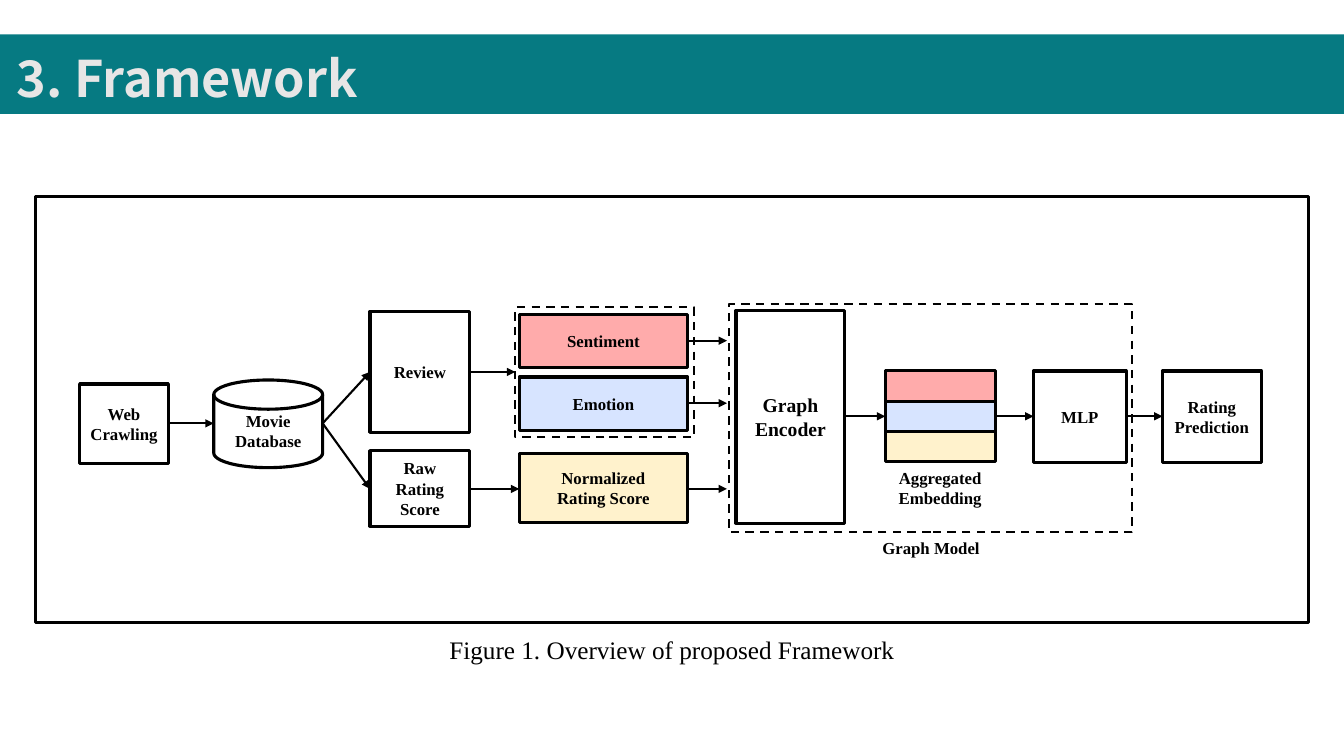
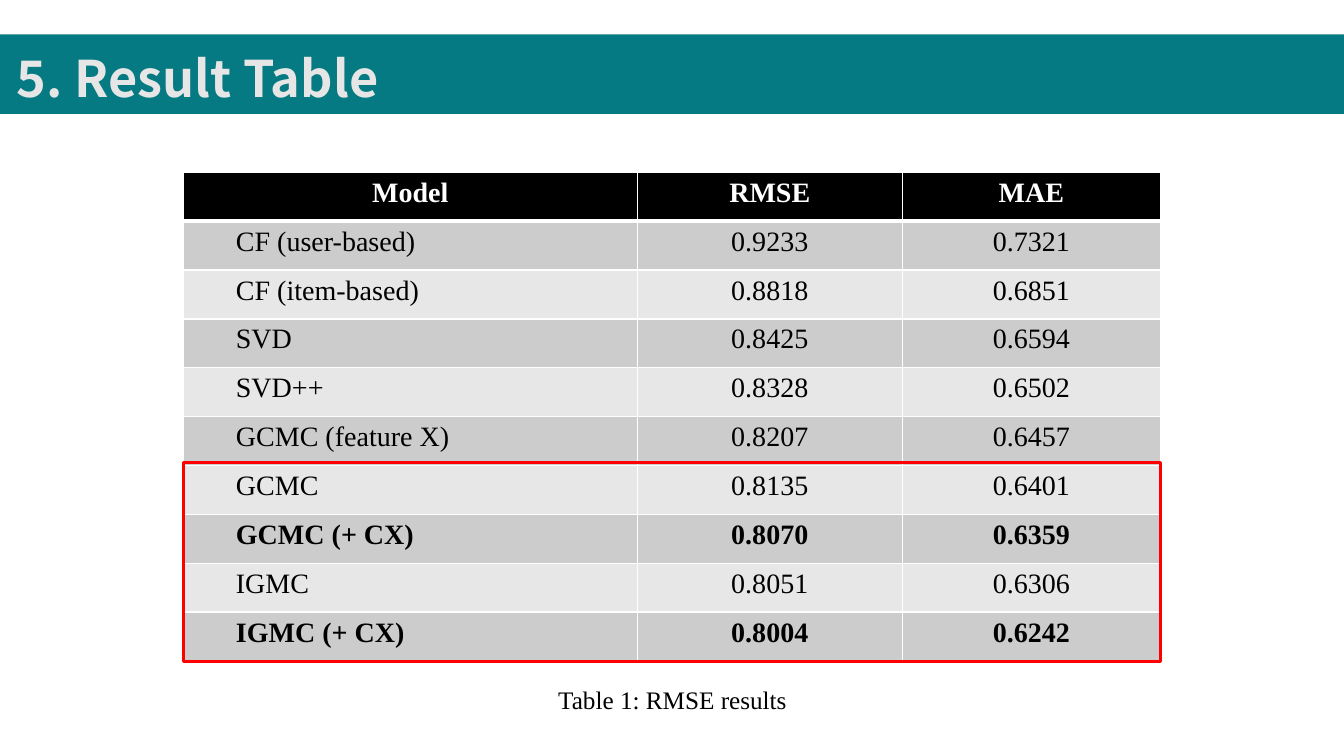
import dataclasses
import lxml.etree
import pptx
import pptx.dml.color
import pptx.enum.dml
import pptx.enum.shapes
import pptx.enum.text
import pptx.oxml.ns
import pptx.util

SHAPE = pptx.enum.shapes.MSO_SHAPE
ALIGN = pptx.enum.text.PP_ALIGN
ANCHOR = pptx.enum.text.MSO_ANCHOR
DASH = pptx.enum.dml.MSO_LINE.DASH
qn = pptx.oxml.ns.qn


@dataclasses.dataclass(frozen=True)
class Theme:
    teal: str = "067A82"
    light: str = "E7E6E6"
    black: str = "000000"
    white: str = "FFFFFF"
    red: str = "FF0000"
    sentiment: str = "FFABAB"
    emotion: str = "D7E4FF"
    rating: str = "FFF2CC"
    bands: tuple = ("E7E7E7", "CCCCCC")
    title_font: str = "Noto Sans CJK KR"
    body_font: str = "Times New Roman"
    title_size: int = 36
    table_size: int = 20
    caption_size: int = 18
    encoder_size: int = 14
    label_size: int = 12
    thick: float = 2.25
    thin: float = 1.5


def px(n):
    return pptx.util.Emu(n * 9144)


def rgb(value):
    return pptx.dml.color.RGBColor.from_string(value)


class Deck:
    def __init__(self, theme):
        self.theme = theme
        self.prs = pptx.Presentation()
        self.prs.slide_width, self.prs.slide_height = px(1333), px(750)

    def slide(self, title):
        t = self.theme
        self.s = self.prs.slides.add_slide(self.prs.slide_layouts[6])
        self.box((0, 34, 1333, 79), fill=t.teal, line=None)
        tf = self.text((7, 16, 1326, 92), title, t.title_size, True,
                       t.light, t.title_font, ALIGN.LEFT)
        tf.vertical_anchor = ANCHOR.MIDDLE
        tf.paragraphs[0].line_spacing = 1.5

    def set_text(self, tf, text, size, bold=False, color=None, font=None, align=ALIGN.CENTER):
        tf.text = text
        for p in tf.paragraphs:
            p.alignment = align
            for r in p.runs:
                r.font.size = pptx.util.Pt(size)
                r.font.bold = bold
                r.font.name = font or self.theme.body_font
                r.font.color.rgb = rgb(color or self.theme.black)

    def text(self, at, text, size, *style):
        tf = self.s.shapes.add_textbox(*map(px, at)).text_frame
        tf.word_wrap = True
        tf.auto_size = pptx.enum.text.MSO_AUTO_SIZE.SHAPE_TO_FIT_TEXT
        self.set_text(tf, text, size, *style)
        return tf

    def caption(self, at, text):
        self.text(at, text, self.theme.caption_size)

    def label(self, at, text):
        self.text(at, text, self.theme.label_size, True)

    def box(self, at, text="", fill=None, line=Theme.black, kind=SHAPE.RECTANGLE,
            size=Theme.label_size, dashed=False):
        sp = self.s.shapes.add_shape(kind, *map(px, at))
        sp.shadow.inherit = False
        if fill:
            sp.fill.solid()
            sp.fill.fore_color.rgb = rgb(fill)
        else:
            sp.fill.background()
        if line:
            sp.line.color.rgb = rgb(line)
            sp.line.width = pptx.util.Pt(self.theme.thin if dashed else self.theme.thick)
            if dashed:
                sp.line.dash_style = DASH
        else:
            sp.line.fill.background()
        if text:
            sp.text_frame.vertical_anchor = ANCHOR.MIDDLE
            self.set_text(sp.text_frame, text, size, True)

    def arrow(self, x1, y1, x2, y2):
        kind = pptx.enum.shapes.MSO_CONNECTOR.STRAIGHT
        c = self.s.shapes.add_connector(kind, px(x1), px(y1), px(x2), px(y2))
        c.line.color.rgb = rgb(self.theme.black)
        c.line.width = pptx.util.Pt(self.theme.thin)
        sp_pr = c._element.spPr
        lxml.etree.SubElement(sp_pr.find(qn("a:ln")), qn("a:tailEnd"), type="triangle")
        lxml.etree.SubElement(sp_pr, qn("a:effectLst"))

    def border(self, cell, side, points):
        ln = lxml.etree.SubElement(cell._tc.get_or_add_tcPr(), qn("a:ln" + side),
                                   w=str(int(pptx.util.Pt(points))))
        fill = lxml.etree.SubElement(ln, qn("a:solidFill"))
        lxml.etree.SubElement(fill, qn("a:srgbClr"), val=self.theme.white)

    def table(self, at, widths, rows, bold_rows, indent):
        t = self.theme
        table = self.s.shapes.add_table(len(rows), len(widths), *map(px, at)).table
        for column, width in zip(table.columns, widths):
            column.width = px(width)
        for i, row in enumerate(rows):
            table.rows[i].height = px(at[3]) // len(rows)
            for j, value in enumerate(row):
                cell = table.cell(i, j)
                for side in "LRTB":
                    heavy = (i, side) in ((0, "B"), (1, "T"))
                    self.border(cell, side, 3 if heavy else 1)
                cell.fill.solid()
                cell.fill.fore_color.rgb = rgb(t.bands[i % 2] if i else t.black)
                name = i > 0 and j == 0
                if name:
                    cell.margin_left = px(indent)
                self.set_text(cell.text_frame, value, t.table_size,
                              i == 0 or i in bold_rows,
                              t.black if i else t.white,
                              align=ALIGN.LEFT if name else ALIGN.CENTER)


def framework(deck):
    t = deck.theme
    deck.slide("3. Framework")
    deck.box((35, 195, 1263, 423))
    for at, text, fill in (
        ((79, 381, 88, 79), "Web\nCrawling", None),
        ((367, 309, 99, 120), "Review", None),
        ((367, 447, 99, 75), "Raw Rating Score", None),
        ((515, 312, 167, 53), "Sentiment", t.sentiment),
        ((515, 374, 167, 53), "Emotion", t.emotion),
        ((515, 450, 167, 68), "Normalized\nRating Score", t.rating),
        ((1025, 368, 92, 91), "MLP", None),
        ((1153, 368, 98, 91), "Rating\nPrediction", None),
    ):
        deck.box(at, text, fill)
    deck.box((212, 377, 108, 87), "Movie\nDatabase", kind=SHAPE.FLOWCHART_MAGNETIC_DISK)
    deck.box((730, 308, 108, 211), "Graph\nEncoder", t.white, size=t.encoder_size)
    for i, fill in enumerate((t.sentiment, t.emotion, t.rating)):
        deck.box((878, 368 + 30 * i, 109, 30), fill=fill)
    deck.box((511, 305, 177, 129), dashed=True)
    deck.box((723, 302, 400, 226), dashed=True)
    for ends in (
        (167, 420, 212, 420), (320, 420, 367, 369), (320, 420, 367, 485),
        (466, 369, 511, 369), (466, 485, 515, 485),
        *((682, y, 721, y) for y in (338, 400, 485)),
        *((x1, 413, x2, 413) for x1, x2 in ((838, 878), (987, 1025), (1117, 1153))),
    ):
        deck.arrow(*ends)
    deck.label((869, 459, 127, 50), "Aggregated\nEmbedding")
    deck.label((860, 529, 127, 30), "Graph Model")
    deck.caption((408, 624, 517, 40), "Figure 1. Overview of proposed Framework")


def results(deck):
    deck.slide("5. Result Table")
    rows = (
        ("Model", "RMSE", "MAE"),
        ("CF (user-based)", "0.9233", "0.7321"),
        ("CF (item-based)", "0.8818", "0.6851"),
        ("SVD", "0.8425", "0.6594"),
        ("SVD++", "0.8328", "0.6502"),
        ("GCMC (feature X)", "0.8207", "0.6457"),
        ("GCMC", "0.8135", "0.6401"),
        ("GCMC (+ CX)", "0.8070", "0.6359"),
        ("IGMC", "0.8051", "0.6306"),
        ("IGMC (+ CX)", "0.8004", "0.6242"),
    )
    deck.table((182, 171, 969, 485), (450, 263, 256), rows, bold_rows=(7, 9), indent=52)
    deck.box((182, 459, 969, 197), line=deck.theme.red)
    deck.caption((410, 674, 514, 40), "Table 1: RMSE results")


def main():
    deck = Deck(Theme())
    framework(deck)
    results(deck)
    deck.prs.save("out.pptx")


if __name__ == "__main__":
    main()
